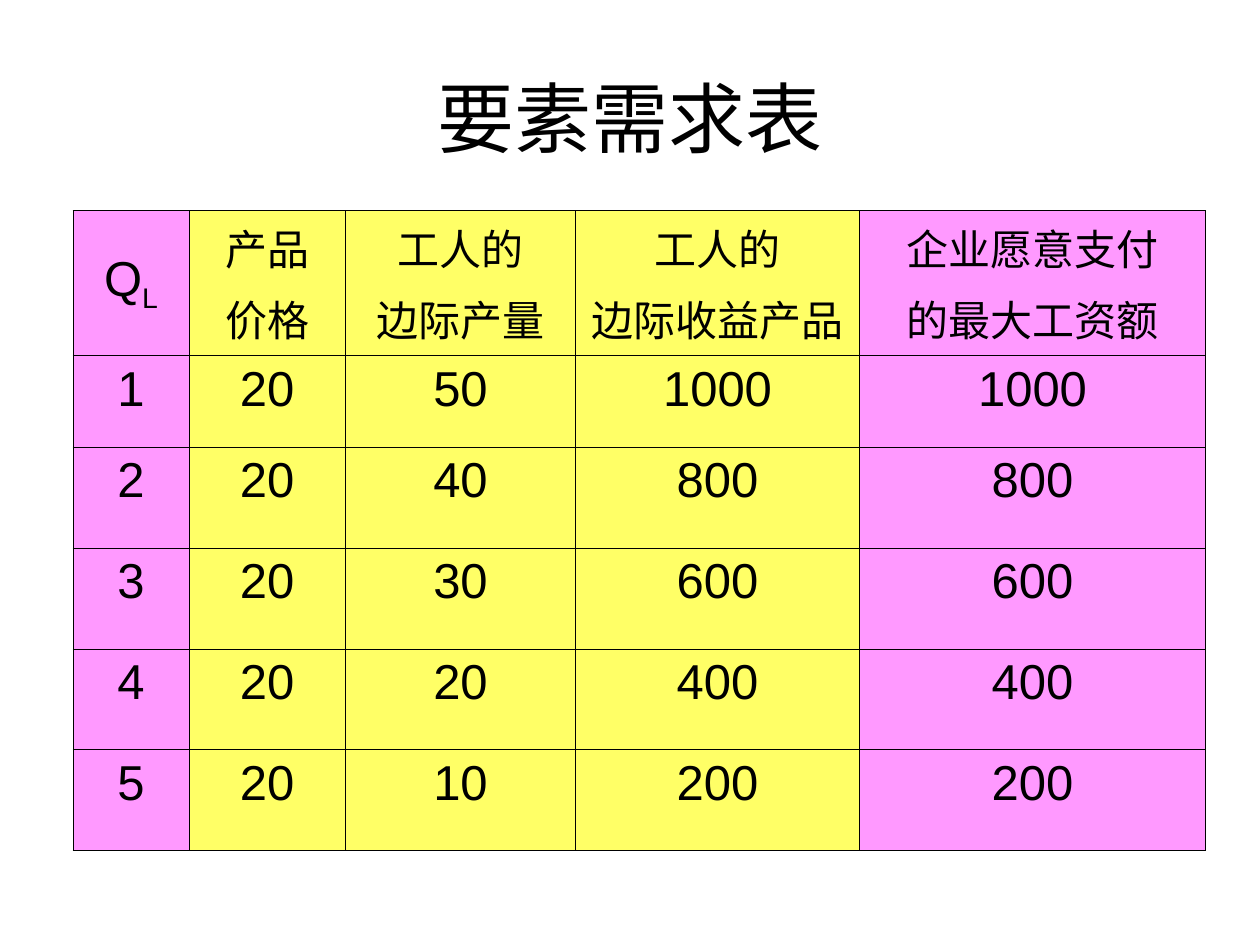
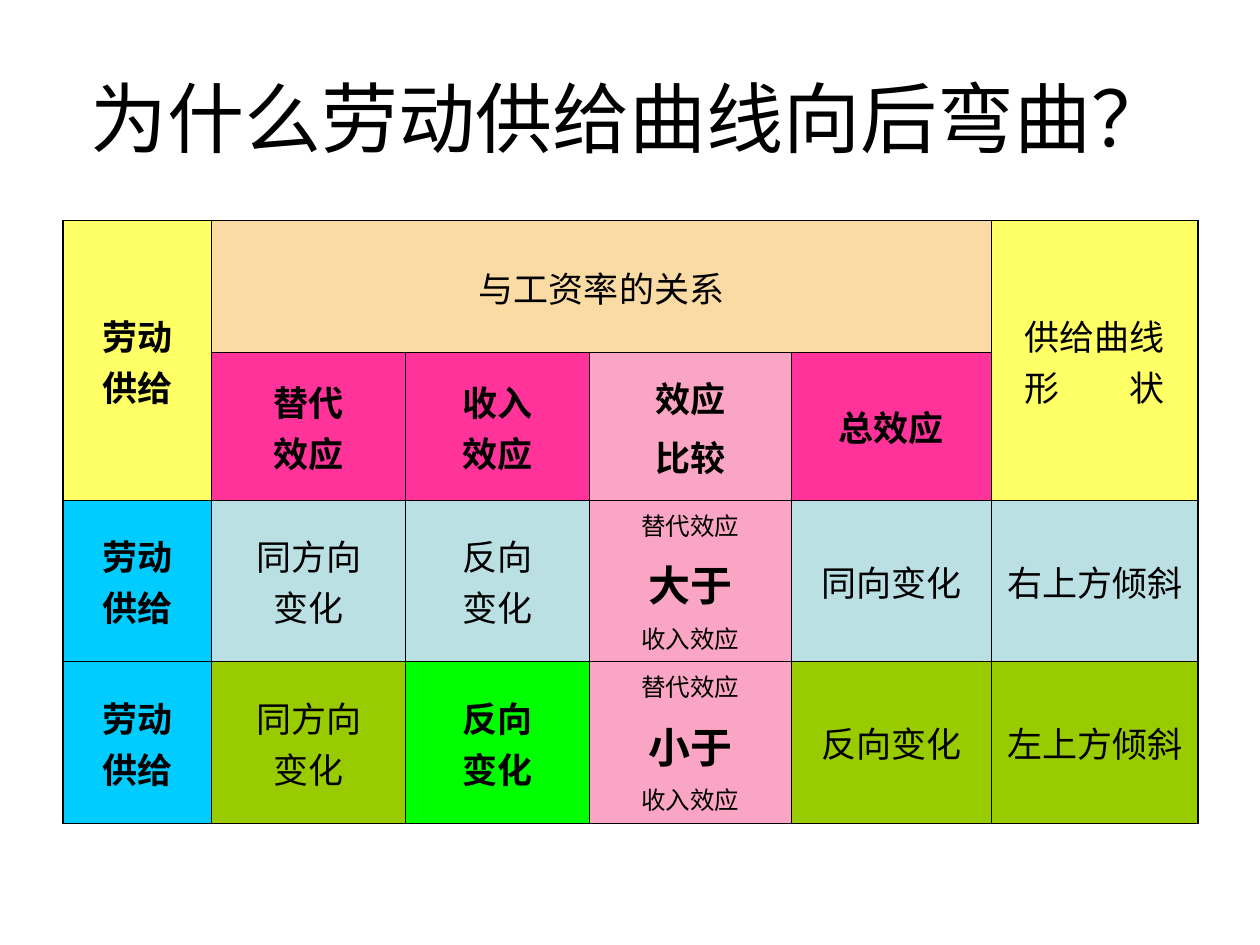
import dataclasses

import lxml.etree
import pptx
import pptx.dml.color
import pptx.enum.text
import pptx.oxml.ns
import pptx.util


@dataclasses.dataclass(frozen=True)
class Theme:
    sans: str = "Arial"
    serif: str = "Times New Roman"
    black: str = "000000"
    yellow: str = "FFFF66"
    violet: str = "FF99FF"
    peach: str = "FADBA4"
    magenta: str = "FF3399"
    rose: str = "F9A5C3"
    sky: str = "00CCFF"
    pale_teal: str = "BBE0E3"
    olive: str = "99CC00"
    green: str = "00FF00"
    title_size: int = 44
    figure_size: int = 28
    heading_size: int = 24
    label_size: int = 20
    note_size: int = 14
    thin_line: float = 0.45
    thick_line: float = 1.08


THEME = Theme()
MIDDLE = pptx.enum.text.MSO_ANCHOR.MIDDLE
TOP = pptx.enum.text.MSO_ANCHOR.TOP
GRID_COLUMNS = 10
TITLE_AREA = (0.5, 0.3, 9, 1.25)


@dataclasses.dataclass(frozen=True)
class Run:
    text: str
    size: int
    font: str = THEME.sans
    bold: bool = False
    attributes: dict = dataclasses.field(default_factory=dict)


@dataclasses.dataclass(frozen=True)
class Cell:
    paragraphs: list
    fill: str
    anchor: object = MIDDLE
    spacing: tuple = ()
    span: tuple = (1, 1)


def grid_lengths(presentation, values):
    unit = presentation.slide_width / GRID_COLUMNS
    return [pptx.util.Emu(round(value * unit)) for value in values]


def write_run(paragraph, content):
    run = paragraph.add_run()
    run.text = content.text
    run.font.size = pptx.util.Pt(content.size)
    run.font.name = content.font
    run.font.bold = content.bold
    run.font.color.rgb = pptx.dml.color.RGBColor.from_string(THEME.black)
    for name, value in content.attributes.items():
        run.font._element.set(name, value)


def write_paragraphs(text_frame, paragraphs, spacing=()):
    for index, runs in enumerate(paragraphs):
        paragraph = text_frame.add_paragraph() if index else text_frame.paragraphs[0]
        paragraph.alignment = pptx.enum.text.PP_ALIGN.CENTER
        if index and spacing:
            paragraph.space_before = pptx.util.Pt(spacing[index - 1])
        for content in runs:
            write_run(paragraph, content)


def add_titled_slide(presentation, title):
    slide = presentation.slides.add_slide(presentation.slide_layouts[5])
    shape = slide.shapes.title
    shape.left, shape.top, shape.width, shape.height = grid_lengths(presentation, TITLE_AREA)
    shape.text_frame.vertical_anchor = MIDDLE
    write_paragraphs(shape.text_frame, [[Run(title, THEME.title_size)]])
    return slide


def draw_borders(cell, widths):
    properties = cell._tc.get_or_add_tcPr()
    for index, (side, width) in enumerate(zip("LRTB", widths)):
        line = lxml.etree.Element(
            pptx.oxml.ns.qn(f"a:ln{side}"), w=str(pptx.util.Pt(width)))
        fill = lxml.etree.SubElement(line, pptx.oxml.ns.qn("a:solidFill"))
        lxml.etree.SubElement(fill, pptx.oxml.ns.qn("a:srgbClr"), val=THEME.black)
        properties.insert(index, line)


def fill_cell(cell, content):
    cell.fill.solid()
    cell.fill.fore_color.rgb = pptx.dml.color.RGBColor.from_string(content.fill)
    cell.vertical_anchor = content.anchor
    write_paragraphs(cell.text_frame, content.paragraphs, content.spacing)


def add_grid_table(presentation, slide, origin, columns, rows, contents, outer_line):
    left, top, width, height = grid_lengths(
        presentation, (*origin, sum(columns), sum(rows)))
    table = slide.shapes.add_table(
        len(rows), len(columns), left, top, width, height).table
    table.first_row = table.horz_banding = False
    for column, length in zip(table.columns, grid_lengths(presentation, columns)):
        column.width = length
    for row, length in zip(table.rows, grid_lengths(presentation, rows)):
        row.height = length
    for row_index, row_contents in enumerate(contents):
        for column_index, content in enumerate(row_contents):
            cell = table.cell(row_index, column_index)
            if content:
                fill_cell(cell, content)
                row_span, column_span = content.span
                if content.span != (1, 1):
                    cell.merge(table.cell(row_index + row_span - 1,
                                          column_index + column_span - 1))
            edges = (column_index == 0, column_index == len(columns) - 1,
                     row_index == 0, row_index == len(rows) - 1)
            draw_borders(cell, [outer_line if edge else THEME.thin_line for edge in edges])


def heading_cell(lines, fill):
    return Cell([[Run(line, THEME.heading_size)] for line in lines], fill, TOP, (6,))


def figure_cell(value, fill):
    return Cell([[Run(str(value), THEME.figure_size)]], fill, TOP)


def label_cell(lines, fill, bold=False, span=(1, 1)):
    paragraphs = [[Run(line, THEME.label_size, THEME.serif, bold)] for line in lines]
    return Cell(paragraphs, fill, span=span)


def comparison_cell(relation):
    return Cell([[Run("替代效应", THEME.note_size)],
                 [Run(relation, THEME.heading_size, bold=True)],
                 [Run("收入效应", THEME.note_size)]],
                THEME.rose, spacing=(6, 3.5))


def demand_contents():
    fills = [THEME.violet, *[THEME.yellow] * 3, THEME.violet]
    headings = [("产品", "价格"), ("工人的", "边际产量"),
                ("工人的", "边际收益产品"), ("企业愿意支付", "的最大工资额")]
    quantity = Cell([[Run("Q", THEME.figure_size),
                      Run("L", THEME.figure_size, attributes={"baseline": "-25000"})]],
                    THEME.violet)
    contents = [[quantity, *map(heading_cell, headings, fills[1:])]]
    price = 20
    for workers, product in enumerate(range(50, 0, -10), start=1):
        revenue = price * product
        values = (workers, price, product, revenue, revenue)
        contents.append(list(map(figure_cell, values, fills)))
    return contents


def supply_row(relation, direction, slope, fill, income_fill, income_bold):
    return [label_cell(["劳动", "供给"], THEME.sky, True),
            label_cell(["同方向", "变化"], fill),
            label_cell(["反向", "变化"], income_fill, income_bold),
            comparison_cell(relation),
            label_cell([direction], fill),
            label_cell([slope], fill)]


def supply_contents():
    curve_shape = Cell([[Run("供给曲线", THEME.label_size, THEME.serif)],
                        [Run("形", THEME.label_size, THEME.serif, attributes={"spc": "4000"}),
                         Run("状", THEME.label_size, THEME.serif)]],
                       THEME.yellow, span=(2, 1))
    comparison = Cell([[Run(line, THEME.label_size, bold=True)] for line in ("效应", "比较")],
                      THEME.rose, spacing=(5,))
    return [
        [label_cell(["劳动", "供给"], THEME.yellow, True, (2, 1)),
         label_cell(["与工资率的关系"], THEME.peach, span=(1, 4)),
         None, None, None, curve_shape],
        [None,
         label_cell(["替代", "效应"], THEME.magenta, True),
         label_cell(["收入", "效应"], THEME.magenta, True),
         comparison,
         label_cell(["总效应"], THEME.magenta, True),
         None],
        supply_row("大于", "同向变化", "右上方倾斜", THEME.pale_teal, THEME.pale_teal, False),
        supply_row("小于", "反向变化", "左上方倾斜", THEME.olive, THEME.green, True),
    ]


def main():
    presentation = pptx.Presentation()
    presentation.slide_width = pptx.util.Inches(10)
    presentation.slide_height = pptx.util.Inches(7.5)

    demand_slide = add_titled_slide(presentation, "要素需求表")
    add_grid_table(presentation, demand_slide, (0.58, 1.67),
                   [0.92, 1.24, 1.83, 2.25, 2.75], [1.15, 0.73, *[0.8] * 4],
                   demand_contents(), THEME.thin_line)

    supply_slide = add_titled_slide(presentation, "为什么劳动供给曲线向后弯曲？")
    add_grid_table(presentation, supply_slide, (0.5, 1.75),
                   [1.18, 1.54, 1.46, 1.6, 1.59, 1.64], [1.05, 1.17, 1.1, 1.2],
                   supply_contents(), THEME.thick_line)

    presentation.save("out.pptx")


if __name__ == "__main__":
    main()
